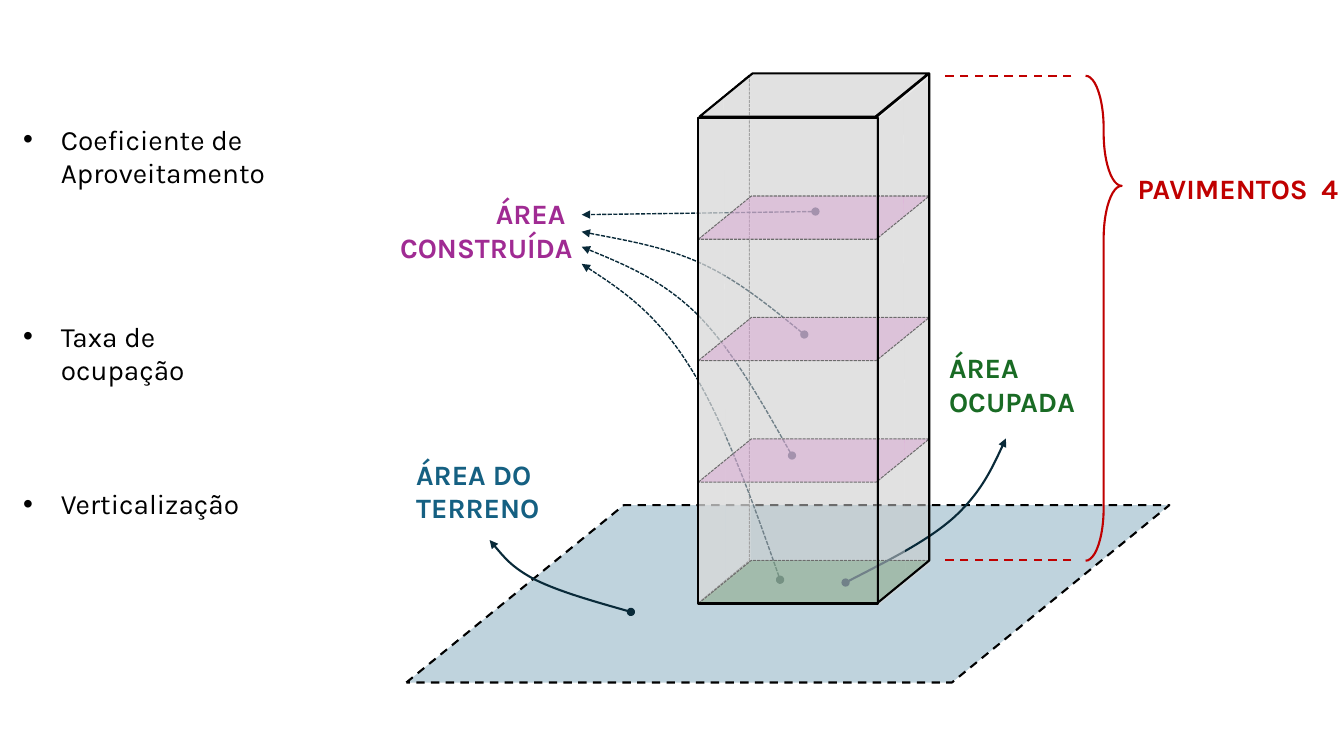
from lxml.etree import SubElement
from pptx import Presentation
from pptx.dml.color import RGBColor
from pptx.enum.dml import MSO_LINE
from pptx.enum.shapes import MSO_CONNECTOR, MSO_SHAPE
from pptx.enum.text import MSO_ANCHOR, MSO_AUTO_SIZE, PP_ALIGN
from pptx.oxml.ns import qn
from pptx.util import Cm, Pt

BLACK = RGBColor(0x00, 0x00, 0x00)
GLASS = RGBColor(0xD9, 0xD9, 0xD9)
BLUE = RGBColor(0x15, 0x60, 0x82)
GREEN = RGBColor(0x19, 0x6B, 0x24)
PINK = RGBColor(0xD8, 0x6E, 0xCC)
PURPLE = RGBColor(0xA0, 0x2B, 0x93)
RED = RGBColor(0xC0, 0x00, 0x00)
NAVY = RGBColor(0x09, 0x2A, 0x39)

FRONT_LEFT, FRONT_TOP = 17.6, 2.97
BACK_LEFT, BACK_TOP = 18.92, 1.85
TOWER_WIDTH, TOWER_HEIGHT = 4.52, 12.24
SLAB_WIDTH, SLAB_DEPTH, SLAB_SLANT = 5.82, 1.09, 1.226
GROUND_TOP, STOREY = 14.12, 3.06

OUTLINE = {"color": BLACK, "width": 1.5}
THIN_DASH = {"color": BLACK, "width": 0.75, "dash": MSO_LINE.SQUARE_DOT}
THICK_DASH = {"color": BLACK, "width": 1.5, "dash": MSO_LINE.DASH}
RED_DASH = {"color": RED, "width": 1.5, "dash": MSO_LINE.DASH}
ARROW = {"color": NAVY, "width": 1.5}
DASHED_ARROW = {"color": NAVY, "width": 1, "dash": MSO_LINE.SQUARE_DOT}

BACK_PANE = [(18.24, 2.49), (18.29, 14.71), (18.92, 14.2), (18.92, 1.93)]
FRONT_PANE = [(17.6, 15.27), (18.29, 14.71), (18.24, 2.49), (17.6, 3)]
BUILT_CURVES = [
    [(20.27, 8.43), (19.46, 7.77), (18.64, 7.09), (17.7, 6.65),
     (16.76, 6.22), (15.72, 6.05), (14.66, 5.84)],
    [(19.66, 14.61), (18.95, 12.57), (18.21, 10.54), (17.37, 9.22),
     (16.54, 7.9), (15.6, 7.26), (14.66, 6.65)],
    [(19.96, 11.48), (19.2, 10.13), (18.44, 8.79), (17.55, 7.9),
     (16.66, 7.04), (15.65, 6.63), (14.66, 6.22)],
]
OCCUPIED_CURVE = [(21.31, 14.68), (22.33, 14.15), (23.37, 13.64), (24.05, 13.03),
                  (24.71, 12.42), (25.04, 11.73), (25.35, 11.05)]
LAND_CURVE = [(15.9, 15.42), (14.99, 15.16), (14.1, 14.91), (13.49, 14.61),
              (12.9, 14.3), (12.62, 13.94), (12.34, 13.61)]


def apply_format(target, values):
    for name, value in values.items():
        setattr(target, name, value)


def place(box, left, top, width, height):
    apply_format(box, {"left": Cm(left), "top": Cm(top),
                       "width": Cm(width), "height": Cm(height)})


def stroke(line, color, width, dash=None):
    line.color.rgb = color
    apply_format(line, {"width": Pt(width), "dash_style": dash})


def paint(shape, fill=None, opacity=50, line=None):
    shape.shadow.inherit = False
    if fill is None:
        shape.fill.background()
    else:
        shape.fill.solid()
        shape.fill.fore_color.rgb = fill
        color = shape.element.spPr.find(qn("a:solidFill"))[0]
        SubElement(color, qn("a:alpha")).set("val", str(opacity * 1000))
    if line is None:
        shape.line.fill.background()
    else:
        stroke(shape.line, **line)


def add_preset(page, kind, bounds, adjust=(), rotation=0, flip=None, **look):
    shape = page.shapes.add_shape(kind, *map(Cm, bounds))
    for index, value in enumerate(adjust):
        shape.adjustments[index] = value
    shape.rotation = rotation
    if flip:
        shape.element.spPr.xfrm.set(flip, "1")
    paint(shape, **look)


def add_slab(page, level, color):
    bounds = (FRONT_LEFT, GROUND_TOP - level * STOREY, SLAB_WIDTH, SLAB_DEPTH)
    add_preset(page, MSO_SHAPE.PARALLELOGRAM, bounds, [SLAB_SLANT],
               fill=color, line=THIN_DASH)


def add_wall_edge(page, bounds, slant, flip, line):
    add_preset(page, MSO_SHAPE.PARALLELOGRAM, bounds, [slant], 90, flip, line=line)


def add_outline(page, points, close, shift=0):
    corners = [(Cm(x + shift), Cm(y)) for x, y in points]
    builder = page.shapes.build_freeform(*corners[0])
    builder.add_line_segments(corners[1:], close=close)
    return builder.convert_to_shape()


def add_pane(page, points, shift=0):
    paint(add_outline(page, points, True, shift), fill=GLASS)


def add_arrowheads(shape):
    line = shape.line.get_or_add_ln() if hasattr(shape.line, "get_or_add_ln") \
        else shape.element.spPr.find(qn("a:ln"))
    SubElement(line, qn("a:headEnd")).set("type", "oval")
    SubElement(line, qn("a:tailEnd")).set("type", "triangle")


def add_curve(page, points, line):
    shape = add_outline(page, points, False)
    steps = list(shape.element.iter(qn("a:lnTo")))
    track = steps[0].getparent()
    for start in range(0, len(steps), 3):
        bend = SubElement(track, qn("a:cubicBezTo"))
        for step in steps[start:start + 3]:
            bend.append(step[0])
            track.remove(step)
    paint(shape, line=line)
    add_arrowheads(shape)


def add_line(page, start, end, line):
    connector = page.shapes.add_connector(
        MSO_CONNECTOR.STRAIGHT, *map(Cm, start + end))
    stroke(connector.line, **line)
    SubElement(connector.element.spPr, qn("a:effectLst"))
    return connector


def add_span(para, text, color, bold):
    span = para.add_run()
    span.text = text
    apply_format(span.font, {"name": "Karla", "size": Pt(20), "bold": bold})
    span.font.color.rgb = color


def add_label(page, lines, bounds, color, wrap=False, align=PP_ALIGN.LEFT):
    frame = page.shapes.add_textbox(*map(Cm, bounds)).text_frame
    apply_format(frame, {"word_wrap": wrap,
                         "auto_size": MSO_AUTO_SIZE.SHAPE_TO_FIT_TEXT})
    for index, text in enumerate(lines):
        para = frame.add_paragraph() if index else frame.paragraphs[0]
        para.alignment = align
        add_span(para, text, color, True)


def fill_bullet(box, text, bounds):
    place(box, *bounds)
    frame = box.text_frame
    apply_format(frame, {"word_wrap": True, "auto_size": MSO_AUTO_SIZE.NONE,
                         "vertical_anchor": MSO_ANCHOR.TOP})
    para = frame.paragraphs[0]
    apply_format(para, {"space_before": Pt(0), "alignment": PP_ALIGN.LEFT})
    layout = para._p.get_or_add_pPr()
    layout.set("marL", str(Cm(0.95)))
    layout.set("indent", str(Cm(-0.95)))
    SubElement(layout, qn("a:buFont")).set("typeface", "Arial")
    SubElement(layout, qn("a:buChar")).set("char", "•")
    add_span(para, text, BLACK, False)


def draw_tower(page):
    add_preset(page, MSO_SHAPE.RECTANGLE,
               (BACK_LEFT, BACK_TOP, TOWER_WIDTH, TOWER_HEIGHT), fill=GLASS)
    add_preset(page, MSO_SHAPE.PARALLELOGRAM, (10.24, 12.73, 19.23, 4.47),
               [SLAB_SLANT], fill=BLUE, opacity=27, line=THICK_DASH)
    add_wall_edge(page, (11.58, 7.9, 13.31, 1.3), 0.827, "flipV", THIN_DASH)
    add_pane(page, BACK_PANE)
    for points in BUILT_CURVES:
        add_curve(page, points, DASHED_ARROW)
    add_arrowheads(add_line(page, (20.55, 5.33), (14.66, 5.41), DASHED_ARROW))
    add_pane(page, FRONT_PANE)
    for level, color in enumerate([GREEN, PINK, PINK, PINK]):
        add_slab(page, level, color)
    add_pane(page, BACK_PANE, TOWER_WIDTH)
    add_curve(page, OCCUPIED_CURVE, ARROW)
    add_pane(page, FRONT_PANE, TOWER_WIDTH)
    add_wall_edge(page, (16.1, 7.87, 13.34, 1.3), 0.82, "flipH", OUTLINE)
    add_preset(page, MSO_SHAPE.RECTANGLE,
               (FRONT_LEFT, FRONT_TOP, TOWER_WIDTH, TOWER_HEIGHT),
               fill=GLASS, line=OUTLINE)
    add_preset(page, MSO_SHAPE.PARALLELOGRAM, (17.63, BACK_TOP, 5.77, SLAB_DEPTH),
               [SLAB_SLANT], fill=GLASS, line=OUTLINE)


def main():
    deck = Presentation()
    apply_format(deck, {"slide_width": Cm(33.87), "slide_height": Cm(19.05)})
    page = deck.slides.add_slide(deck.slide_layouts.get_by_name("Comparison"))
    title, first, second, third, spare = page.placeholders
    for box in (title, spare):
        box.element.getparent().remove(box.element)
    fill_bullet(first, "Coeficiente de Aproveitamento", (0.33, 2.95, 7.87, 1.96))
    fill_bullet(second, "Taxa de ocupação", (0.33, 7.92, 6.98, 1.12))
    fill_bullet(third, "Verticalização", (0.33, 12.14, 6.98, 1.12))
    draw_tower(page)
    add_label(page, ["ÁREA", "OCUPADA"], (23.67, 8.71, 4.06, 3.2), GREEN, True)
    add_curve(page, LAND_CURVE, ARROW)
    add_label(page, ["ÁREA DO", "TERRENO"], (10.24, 11.4, 4.11, 2.24), BLUE)
    add_preset(page, MSO_SHAPE.LEFT_BRACE, (27.36, 1.91, 0.91, 12.22),
               [1.465, 0.227], flip="flipH", line={"color": RED, "width": 1.5})
    add_label(page, ["PAVIMENTOS"], (28.42, 4.19, 5.41, 1.27), RED)
    for height in (14.12, 1.91):
        add_line(page, (27, height), (23.72, height), RED_DASH)
    add_label(page, ["4"], (33.05, 4.19, 1.02, 1.27), RED)
    add_label(page, ["ÁREA ", "CONSTRUÍDA"], (9.3, 4.83, 5.38, 3.2),
              PURPLE, True, PP_ALIGN.RIGHT)
    deck.save("out.pptx")


if __name__ == "__main__":
    main()
